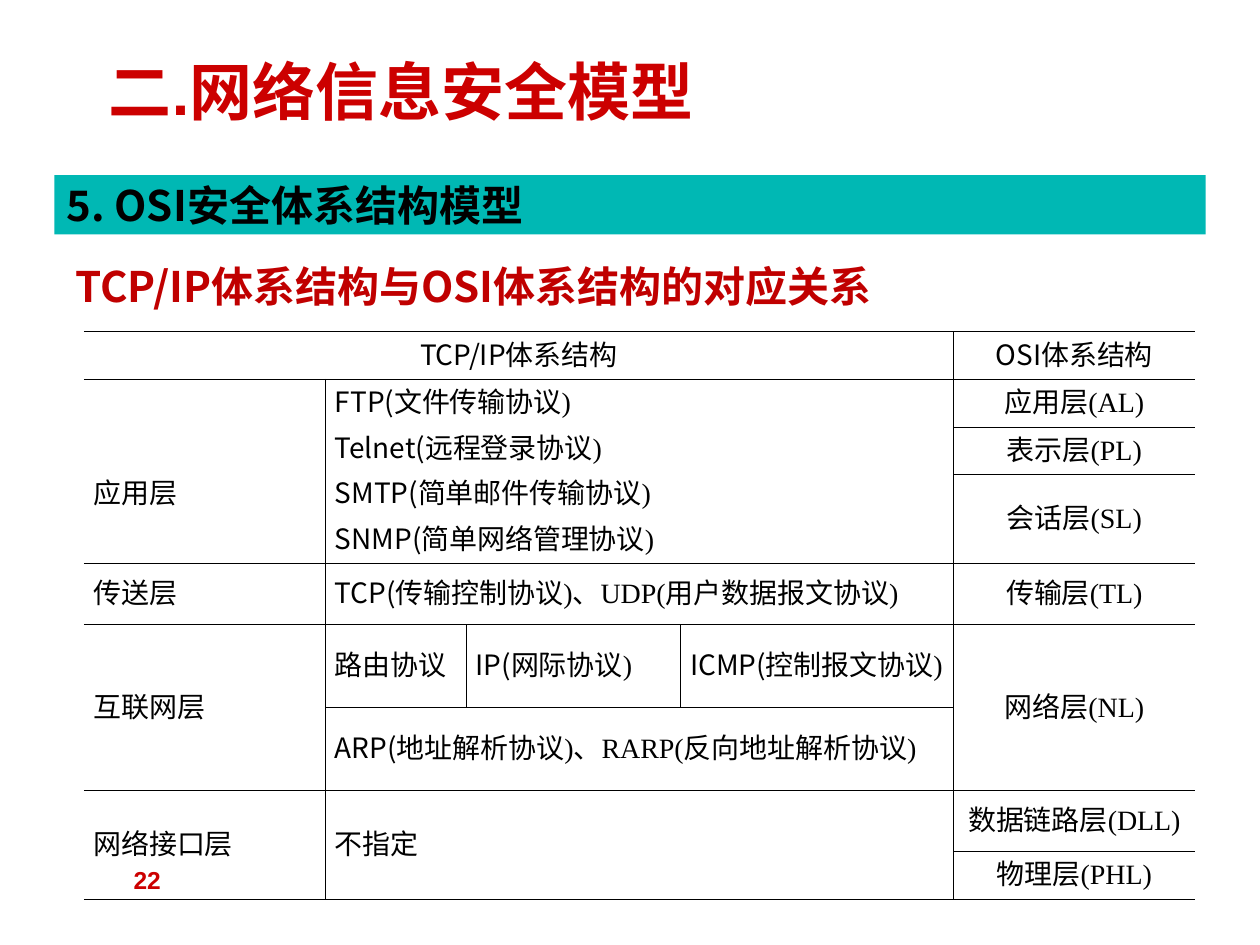
from lxml import etree
from pptx import Presentation
from pptx import util as u
from pptx.dml.color import RGBColor
from pptx.enum import shapes, text
from pptx.oxml import ns

RED = RGBColor(0xCC, 0x00, 0x00)
DARK_RED = RGBColor(0xC0, 0x00, 0x00)
TEAL = RGBColor(0x00, 0xB8, 0xB4)
BLACK = RGBColor(0x00, 0x00, 0x00)
SANS, SERIF, ARIAL = "Noto Sans CJK SC", "Times New Roman", "Arial"
LEFT, RIGHT = text.PP_ALIGN.LEFT, text.PP_ALIGN.RIGHT
CENTER, JUSTIFY = text.PP_ALIGN.CENTER, text.PP_ALIGN.JUSTIFY
TOP, MIDDLE = text.MSO_ANCHOR.TOP, text.MSO_ANCHOR.MIDDLE

COLUMNS = [138, 80.5, 122.5, 156, 138]
ROWS = [24, 24, 24, 49, 35, 40, 40, 35, 23]
CELLS = [
    (0, 0, 1, 4, ["TCP/IP|体系结构"]),
    (0, 4, 1, 1, ["OSI|体系结构"]),
    (1, 0, 3, 1, ["应用层"]),
    (1, 1, 3, 3, ["FTP(|文件传输协议)", "Telnet(|远程登录协议)",
                  "SMTP(|简单邮件传输协议)", "SNMP(|简单网络管理协议)"]),
    (1, 4, 1, 1, ["应用层(AL)"]),
    (2, 4, 1, 1, ["表示层(PL)"]),
    (3, 4, 1, 1, ["会话层(SL)"]),
    (4, 0, 1, 1, ["传送层"]),
    (4, 1, 1, 3, ["TCP(|传输控制协议)、UDP(用户数据报文协议)"]),
    (4, 4, 1, 1, ["传输层(TL)"]),
    (5, 0, 2, 1, ["互联网层"]),
    (5, 1, 1, 1, ["路由协议"]),
    (5, 2, 1, 1, ["IP(|网际协议)"]),
    (5, 3, 1, 1, ["ICMP(|控制报文协议)"]),
    (5, 4, 2, 1, ["网络层(NL)"]),
    (6, 1, 1, 3, ["ARP(|地址解析协议)、RARP(反向地址解析协议)"]),
    (7, 0, 2, 1, ["网络接口层"]),
    (7, 1, 2, 3, ["不指定"]),
    (7, 4, 1, 1, ["数据链路层(DLL)"]),
    (8, 4, 1, 1, ["物理层(PHL)"]),
]


class Deck:
    """Holds the style and the current slide, and draws each kind of element."""

    def __init__(self, prs):
        self.s = prs.slides.add_slide(prs.slide_layouts[5])
        self.margins = dict(margin_left=u.Pt(7.2), margin_right=u.Pt(7.2),
                            margin_top=u.Pt(3.6), margin_bottom=u.Pt(3.6))
        self.cell_format = dict(margin_left=u.Pt(5.4), margin_right=u.Pt(5.4),
                                margin_top=u.Pt(3.6), margin_bottom=u.Pt(3.6),
                                vertical_anchor=MIDDLE)

    def apply(self, target, formats):
        for name, value in formats.items():
            setattr(target, name, value)

    def run(self, p, words, name, size, color, bold=False):
        r = p.add_run()
        r.text = words
        self.apply(r.font, dict(name=name, size=u.Pt(size), bold=bold))
        r.font.color.rgb = color
        ea = etree.SubElement(r.font._element, ns.qn("a:ea"))
        ea.set("typeface", SANS)

    def fill_text(self, sp, words, name, size, color, align=LEFT, anchor=TOP,
                  auto_size=text.MSO_AUTO_SIZE.NONE):
        tf = sp.text_frame
        self.apply(tf, dict(self.margins, word_wrap=True, vertical_anchor=anchor,
                            auto_size=auto_size))
        p = tf.paragraphs[0]
        p.alignment = align
        self.run(p, words, name, size, color, bold=True)

    def title(self, words, x, y, w, h):
        sp = self.s.shapes.title
        self.apply(sp, dict(left=u.Pt(x), top=u.Pt(y), width=u.Pt(w), height=u.Pt(h)))
        self.fill_text(sp, words, ARIAL, 36, RED, anchor=MIDDLE)

    def text_box(self, words, x, y, w, h, **style):
        sp = self.s.shapes.add_textbox(u.Pt(x), u.Pt(y), u.Pt(w), u.Pt(h))
        self.fill_text(sp, words, **style)

    def bar(self, words, x, y, w, h):
        sp = self.s.shapes.add_shape(shapes.MSO_SHAPE.RECTANGLE,
                                     u.Pt(x), u.Pt(y), u.Pt(w), u.Pt(h))
        sp.shadow.inherit = False
        sp.fill.solid()
        sp.fill.fore_color.rgb = TEAL
        sp.line.fill.background()
        self.fill_text(sp, words, SANS, 24, BLACK, anchor=MIDDLE)

    def borders(self, cell, drawn):
        tc_pr = cell._tc.get_or_add_tcPr()
        for i, side in enumerate("LRTB"):
            ln = etree.Element(ns.qn("a:ln" + side), w=str(u.Pt(0.45)))
            if side in drawn:
                fill = etree.SubElement(ln, ns.qn("a:solidFill"))
                etree.SubElement(fill, ns.qn("a:srgbClr"), val=str(BLACK))
            else:
                etree.SubElement(ln, ns.qn("a:noFill"))
            tc_pr.insert(i, ln)

    def cell_text(self, cell, lines, align):
        self.apply(cell, self.cell_format)
        for i, line in enumerate(lines):
            tf = cell.text_frame
            p = tf.add_paragraph() if i else tf.paragraphs[0]
            self.apply(p, dict(alignment=align, line_spacing=u.Pt(20),
                               space_before=u.Pt(6 if i else 0)))
            head, _, tail = line.rpartition("|")
            for words, name in ((head, SANS), (tail, SERIF)):
                if words:
                    self.run(p, words, name, 16, BLACK)

    def table(self, x, y):
        frame = self.s.shapes.add_table(len(ROWS), len(COLUMNS), u.Pt(x), u.Pt(y),
                                        u.Pt(sum(COLUMNS)), u.Pt(sum(ROWS)))
        table = frame.table
        self.apply(table, dict(first_row=False, horz_banding=False))
        for column, width in zip(table.columns, COLUMNS):
            column.width = u.Pt(width)
        for row, height in zip(table.rows, ROWS):
            row.height = u.Pt(height)
        last = len(COLUMNS) - 1
        for top, left, rows, cols, lines in CELLS:
            bottom, right = top + rows - 1, left + cols - 1
            origin = table.cell(top, left)
            if rows * cols > 1:
                origin.merge(table.cell(bottom, right))
            centered = top == 0 or left == last
            self.cell_text(origin, lines, CENTER if centered else JUSTIFY)
            for r in range(top, bottom + 1):
                for c in range(left, right + 1):
                    cell = table.cell(r, c)
                    cell.fill.background()
                    whole = cell.is_merge_origin
                    edges = dict(L=c == left > 0,
                                 R=right < last and (whole or c == right),
                                 T=r == top, B=whole or r == bottom)
                    self.borders(cell, [side for side, on in edges.items() if on])
        table.cell(1, 0).margin_top = u.Pt(29.6)


def main():
    prs = Presentation()
    prs.slide_width, prs.slide_height = u.Pt(720), u.Pt(540)
    deck = Deck(prs)
    deck.text_box("22", 20, 491, 79, 37.5, name=ARIAL, size=14, color=RED, align=RIGHT)
    deck.bar("5. OSI安全体系结构模型", 31, 100, 658, 34)
    deck.title("二.网络信息安全模型", 55, 15, 390, 73.5)
    deck.text_box("TCP/IP体系结构与OSI体系结构的对应关系", 36, 145.5, 652, 36,
                  name=SANS, size=24, color=DARK_RED,
                  auto_size=text.MSO_AUTO_SIZE.SHAPE_TO_FIT_TEXT)
    deck.table(48, 189.5)
    prs.save("out.pptx")


if __name__ == "__main__":
    main()
